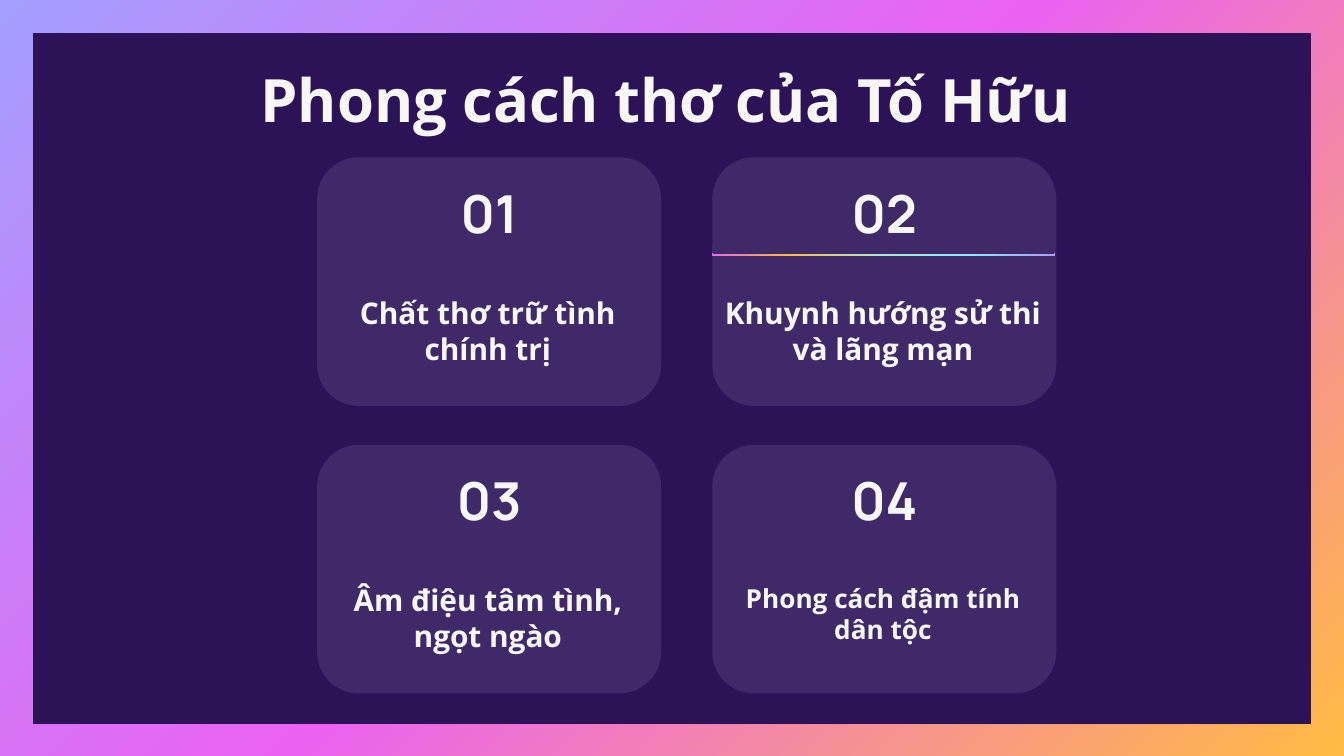
from lxml import etree
from pptx import Presentation
from pptx.dml.color import RGBColor
from pptx.enum.shapes import MSO_SHAPE as SHAPE
from pptx.enum.text import MSO_ANCHOR as ANCHOR, MSO_AUTO_SIZE as AUTO_SIZE, PP_ALIGN as ALIGN
from pptx.oxml import parse_xml
from pptx.oxml.ns import nsdecls, qn
from pptx.util import Inches, Pt

NIGHT = RGBColor(0x2C, 0x12, 0x56)
PLUM = RGBColor(0x40, 0x29, 0x68)
CREAM = RGBColor(0xF7, 0xF7, 0xF5)
SUNSET = [(0, "A49EFF"), (50, "EB62F0"), (100, "FFBB43")]
RAINBOW = [(0, "EB62F0"), (23, "FFBB43"), (50, "A7ECC8"), (76, "8EE6FF"), (100, "A49EFF")]

CARD_WIDTH, CARD_HEIGHT = 2.56, 1.85
LEFTS, TOPS = (2.36, 5.3), (1.17, 3.31)
CAPTIONS = [
    ("Chất thơ trữ tình chính trị", 16),
    ("Khuynh hướng sử thi và lãng mạn", 16),
    ("Âm điệu tâm tình, ngọt ngào", 16),
    ("Phong cách đậm tính dân tộc", 14),
]


def set_gradient(fill, stops):
    """Give a fill a diagonal gradient with the listed stops."""
    fill.gradient()
    fill.gradient_angle = 315
    stop_list = fill._fill._gradFill.find(qn("a:gsLst"))
    for stop in list(stop_list):
        stop_list.remove(stop)
    for percent, color in stops:
        stop_list.append(parse_xml(
            f'<a:gs {nsdecls("a")} pos="{percent * 1000}"><a:srgbClr val="{color}"/></a:gs>'))


def add_panel(slide, kind, left, top, width, height, color=None, line_width=0):
    """Add a flat shape, outlined in its own colour if a line width is given."""
    shape = slide.shapes.add_shape(
        kind, Inches(left), Inches(top), Inches(width), Inches(height))
    shape.shadow.inherit = False
    if color is not None:
        shape.fill.solid()
        shape.fill.fore_color.rgb = color
    if line_width:
        shape.line.color.rgb = color
        shape.line.width = Pt(line_width)
    else:
        shape.line.fill.background()
    return shape


def set_text(shape, box, text, size, font="Open Sans", anchor=ANCHOR.TOP):
    """Place a text shape and write one centred bold run in it."""
    shape.left, shape.top, shape.width, shape.height = map(Inches, box)
    frame = shape.text_frame
    frame.word_wrap = True
    frame.auto_size = AUTO_SIZE.NONE
    frame.vertical_anchor = anchor
    frame.margin_left = frame.margin_right = Inches(0.1)
    frame.margin_top = frame.margin_bottom = Inches(0.1)
    paragraph = frame.paragraphs[0]
    paragraph.alignment = ALIGN.CENTER
    paragraph.line_spacing = 1.0
    paragraph.space_before = Pt(0)
    properties = paragraph._p.get_or_add_pPr()
    properties.set("marL", "0")
    properties.set("indent", "0")
    etree.SubElement(properties, qn("a:buNone"))
    run = paragraph.add_run()
    run.text = text
    run.font.name = font
    run.font.size = Pt(size)
    run.font.bold = True
    run.font.color.rgb = CREAM


def add_card(slide, number, left, top, placeholder, caption, size):
    """Add a rounded card with its number and caption."""
    add_panel(slide, SHAPE.ROUNDED_RECTANGLE, left, top, CARD_WIDTH, CARD_HEIGHT, PLUM)
    number_box = (left + 0.71, top + 0.16, 1.14, 0.5)
    number_shape = slide.shapes.add_textbox(*map(Inches, number_box))
    set_text(number_shape, number_box, f"{number:02d}", 28, "Manrope", ANCHOR.MIDDLE)
    set_text(placeholder, (left - 0.01, top + 0.92, CARD_WIDTH, 0.65), caption, size)
    slide.shapes._spTree.append(placeholder._element)


def add_divider(slide, left, top):
    """Add a rainbow strip with a band that leaves a thin edge showing."""
    strip = add_panel(slide, SHAPE.RECTANGLE, left, top, 2.55, 0.05)
    set_gradient(strip.fill, RAINBOW)
    add_panel(slide, SHAPE.RECTANGLE, left + 0.01, top - 0.02, 2.53, 0.05, PLUM, 2)


def main():
    """Build and save the slide."""
    presentation = Presentation()
    presentation.slide_width = Inches(10)
    presentation.slide_height = presentation.slide_width * 9 // 16
    slide = presentation.slides.add_slide(presentation.slide_layouts.get_by_name("Comparison"))
    set_gradient(slide.background.fill, SUNSET)
    title, *bodies = slide.placeholders
    add_panel(slide, SHAPE.RECTANGLE, 0.25, 0.25, 9.5, 5.13, NIGHT, 0.75)
    set_text(title, (0.8, 0.37, 8.43, 0.62), "Phong cách thơ của Tố Hữu ", 32)
    slide.shapes._spTree.append(title._element)
    for index, (caption, size) in enumerate(CAPTIONS):
        row, column = divmod(index, 2)
        add_card(slide, index + 1, LEFTS[column], TOPS[row], bodies[index], caption, size)
    add_divider(slide, LEFTS[1], 1.85)
    presentation.save("out.pptx")


main()
